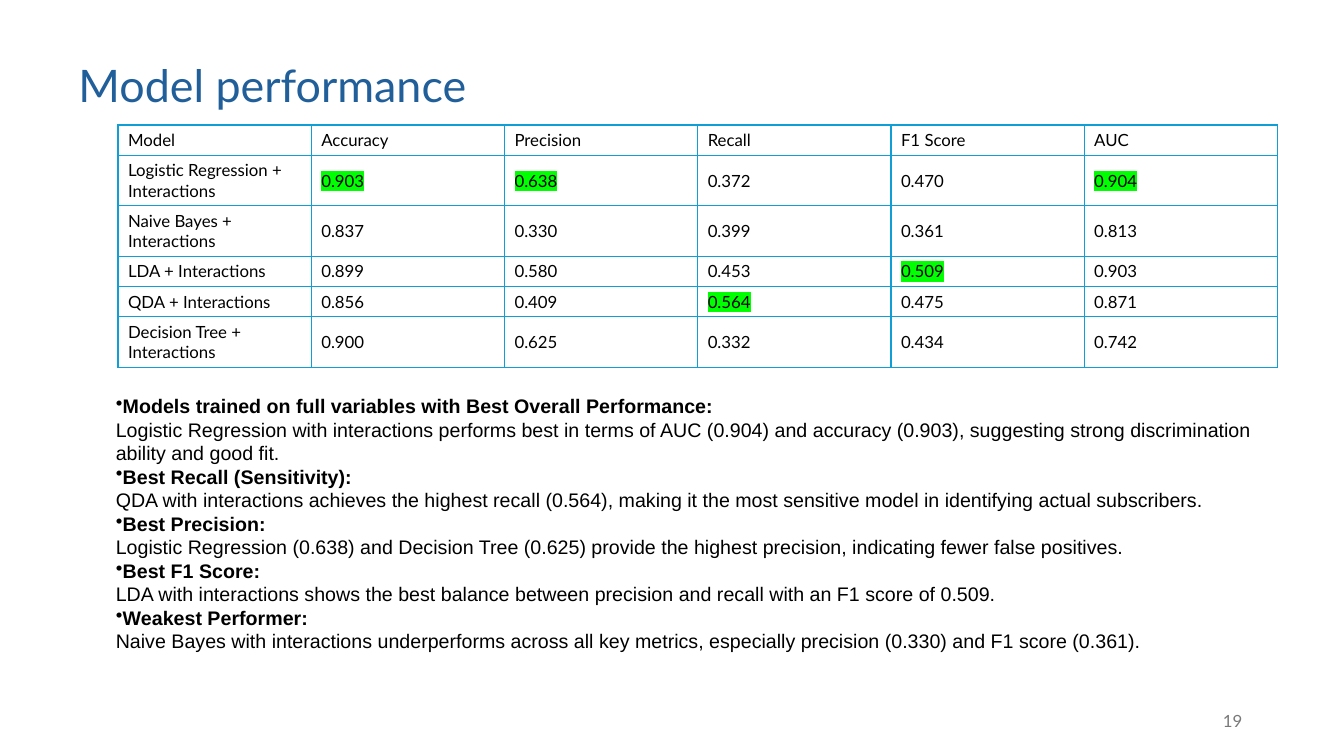
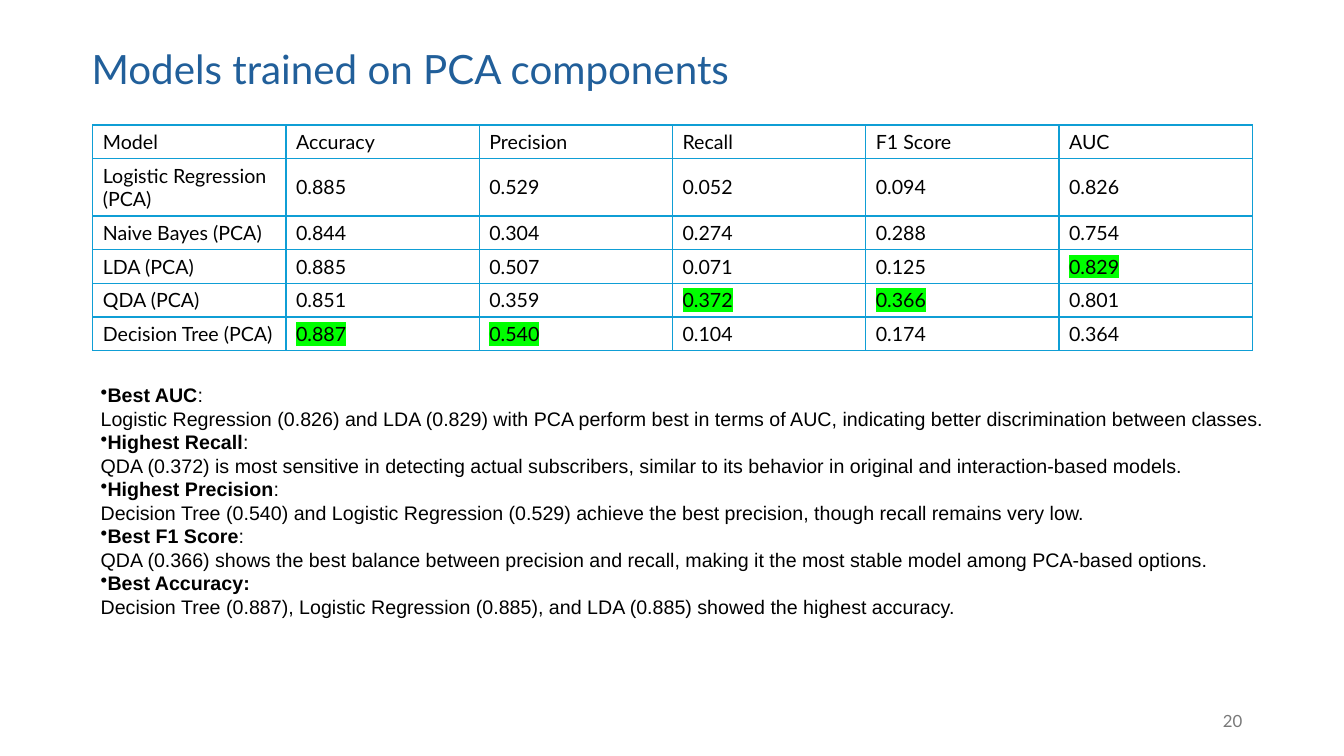
from lxml.etree import SubElement
from pptx import Presentation
from pptx.dml.color import RGBColor
from pptx.enum.text import MSO_ANCHOR, PP_ALIGN
from pptx.oxml.ns import qn
from pptx.util import Inches, Pt

BLUE = RGBColor(0x21, 0x5F, 0x9A)
BLACK = RGBColor(0, 0, 0)
GRAY = RGBColor(0x79, 0x79, 0x79)
EDGE = RGBColor(0x0F, 0x9E, 0xD5)
GREEN = RGBColor(0, 0xFF, 0)

LATO = "Lato"
ARIAL = "Arial"
WIDTH = 11.5  # shared by titles and tables
HEAD = ["Model", "Accuracy", "Precision", "Recall", "F1 Score", "AUC"]

FULL = [
    ("Logistic Regression + Interactions", "0.903", "0.638", "0.372", "0.470", "0.904"),
    ("Naive Bayes + Interactions", "0.837", "0.330", "0.399", "0.361", "0.813"),
    ("LDA + Interactions", "0.899", "0.580", "0.453", "0.509", "0.903"),
    ("QDA + Interactions", "0.856", "0.409", "0.564", "0.475", "0.871"),
    ("Decision Tree + Interactions", "0.900", "0.625", "0.332", "0.434", "0.742"),
]
PCA = [
    ("Logistic Regression (PCA)", "0.885", "0.529", "0.052", "0.094", "0.826"),
    ("Naive Bayes (PCA)", "0.844", "0.304", "0.274", "0.288", "0.754"),
    ("LDA (PCA)", "0.885", "0.507", "0.071", "0.125", "0.829"),
    ("QDA (PCA)", "0.851", "0.359", "0.372", "0.366", "0.801"),
    ("Decision Tree (PCA)", "0.887", "0.540", "0.104", "0.174", "0.364"),
]

# Each note: bold lead, plain end of the lead, text below.
FULL_NOTES = [
    ("Models trained on full variables with Best Overall Performance:", "",
     "Logistic Regression with interactions performs best in terms of AUC (0.904) and "
     "accuracy (0.903), suggesting strong discrimination ability and good fit."),
    ("Best Recall (Sensitivity):", "",
     "QDA with interactions achieves the highest recall (0.564), making it the most "
     "sensitive model in identifying actual subscribers."),
    ("Best Precision:", "",
     "Logistic Regression (0.638) and Decision Tree (0.625) provide the highest "
     "precision, indicating fewer false positives."),
    ("Best F1 Score:", "",
     "LDA with interactions shows the best balance between precision and recall with "
     "an F1 score of 0.509."),
    ("Weakest Performer:", "",
     "Naive Bayes with interactions underperforms across all key metrics, especially "
     "precision (0.330) and F1 score (0.361)."),
]
PCA_NOTES = [
    ("Best AUC", ":",
     "Logistic Regression (0.826) and LDA (0.829) with PCA perform best in terms of "
     "AUC, indicating better discrimination between classes."),
    ("Highest Recall", ":",
     "QDA (0.372) is most sensitive in detecting actual subscribers, similar to its "
     "behavior in original and interaction-based models."),
    ("Highest Precision", ":",
     "Decision Tree (0.540) and Logistic Regression (0.529) achieve the best "
     "precision, though recall remains very low."),
    ("Best F1 Score", ":",
     "QDA (0.366) shows the best balance between precision and recall, making it the "
     "most stable model among PCA-based options."),
    ("Best Accuracy:", "",
     "Decision Tree (0.887), Logistic Regression (0.885), and LDA (0.885) showed the "
     "highest accuracy."),
]


def style(run, size, color=BLACK, face=LATO, bold=False):
    font = run.font
    font.size = Pt(size)
    font.name = face
    font.bold = bold
    font.color.rgb = color


def add_box(slide, left, top, width, height, anchor=MSO_ANCHOR.MIDDLE):
    box = slide.shapes.add_textbox(Inches(left), Inches(top), Inches(width), Inches(height))
    frame = box.text_frame
    frame.word_wrap = True
    frame.vertical_anchor = anchor
    return frame


def add_title(slide, text, left, top, height, size):
    frame = add_box(slide, left, top, WIDTH, height)
    frame.text = text
    line = frame.paragraphs[0]
    line.line_spacing = 0.9
    style(line.runs[0], size, BLUE)


def add_page(slide, number):
    frame = add_box(slide, 9.42, 6.95, 3, 0.4)
    frame.text = str(number)
    line = frame.paragraphs[0]
    line.alignment = PP_ALIGN.RIGHT
    style(line.runs[0], 12, GRAY)


def add_notes(slide, notes, left, top, width, height):
    frame = add_box(slide, left, top, width, height, MSO_ANCHOR.TOP)
    line = frame.paragraphs[0]
    for lead, tail, text in notes:
        if line.runs:
            line = frame.add_paragraph()
        props = line._p.get_or_add_pPr()
        props.set("marL", "0")
        props.set("indent", "0")
        add_part(line, lead, True)
        if tail:
            add_part(line, tail)
        SubElement(props, qn("a:buChar")).set("char", "•")
        line = frame.add_paragraph()
        add_part(line, text)


def add_part(line, text, bold=False):
    line.line_spacing = Pt(16.8)
    run = line.add_run()
    run.text = text
    style(run, 14, face=ARIAL, bold=bold)


def mark(run):
    """Put a green highlight behind a run that has its colour set."""
    props = run._r.get_or_add_rPr()
    light = SubElement(props, qn("a:highlight"))
    SubElement(light, qn("a:srgbClr")).set("val", str(GREEN))
    props.find(qn("a:solidFill")).addnext(light)


def add_edges(cell):
    props = cell._tc.get_or_add_tcPr()
    for side in "LRTB":
        edge = SubElement(props, qn(f"a:ln{side}"), w=str(Pt(1)))
        fill = SubElement(edge, qn("a:solidFill"))
        SubElement(fill, qn("a:srgbClr")).set("val", str(EDGE))


def add_scores(slide, rows, left, size, heights):
    """Add a score table that highlights the best value of each column."""
    shape = slide.shapes.add_table(len(rows) + 1, len(HEAD), Inches(left), Inches(1.24),
                                   Inches(WIDTH), Inches(sum(heights)))
    table = shape.table
    table.first_row = table.horz_banding = False
    for row, height in zip(table.rows, heights):
        row.height = Inches(height)
    best = [max(column) for column in zip(*rows)]
    for r, values in enumerate([HEAD, *rows]):
        for c, value in enumerate(values):
            cell = table.cell(r, c)
            cell.text = value
            cell.vertical_anchor = MSO_ANCHOR.MIDDLE
            add_edges(cell)
            cell.fill.background()
            run = cell.text_frame.paragraphs[0].runs[0]
            style(run, size)
            if r and c and value == best[c]:
                mark(run)


def main():
    deck = Presentation()
    deck.slide_width = Inches(13.33)
    deck.slide_height = Inches(7.5)
    blank = deck.slide_layouts[6]

    slide = deck.slides.add_slide(blank)
    add_title(slide, "Model performance", 0.68, 0.15, 1.45, 32)
    add_notes(slide, FULL_NOTES, 1.05, 3.86, 11.61, 2.7)
    add_page(slide, 19)
    add_scores(slide, FULL, 1.17, 12, [0.3, 0.5, 0.5, 0.3, 0.3, 0.5])

    slide = deck.slides.add_slide(blank)
    add_title(slide, "Models trained on PCA components", 0.81, 0.41, 0.59, 28.8)
    add_notes(slide, PCA_NOTES, 0.9, 3.75, 12.43, 2.46)
    add_page(slide, 20)
    add_scores(slide, PCA, 0.92, 14, [0.33, 0.57, 0.33, 0.33, 0.33, 0.33])

    deck.save("out.pptx")


if __name__ == "__main__":
    main()
